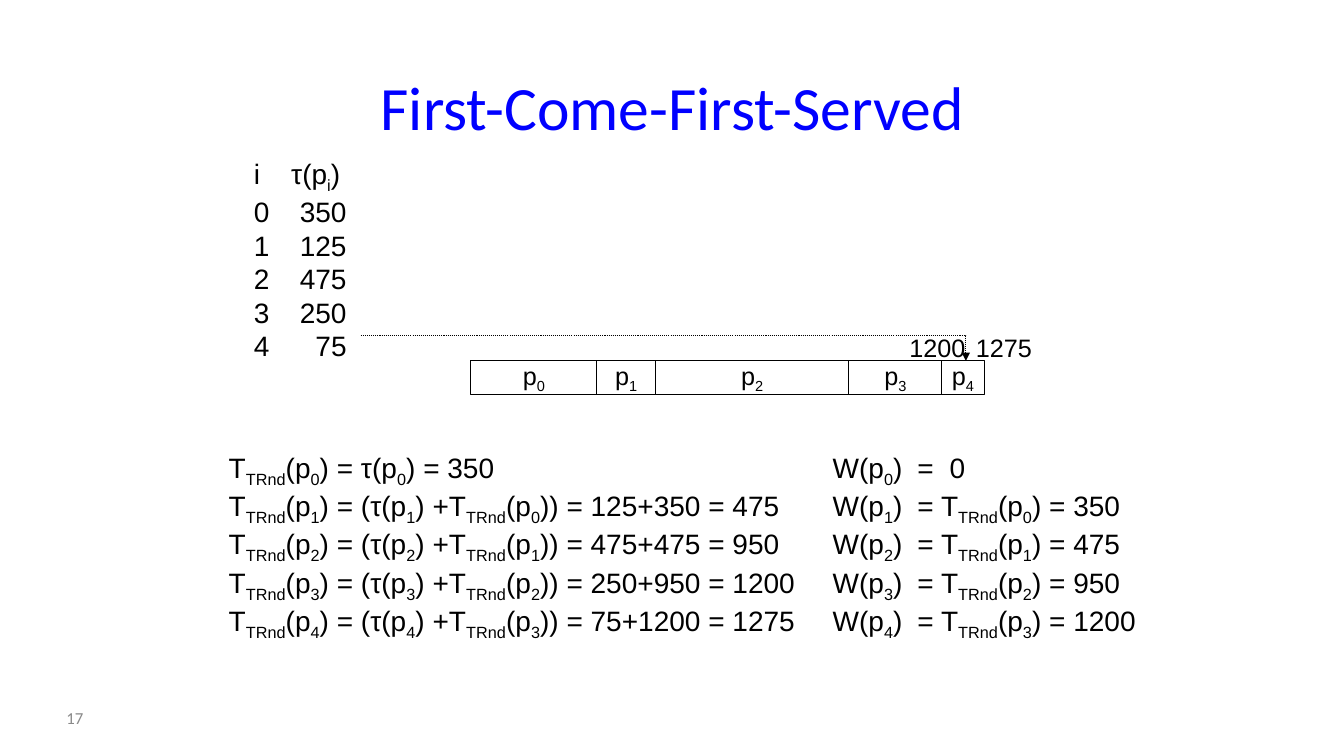
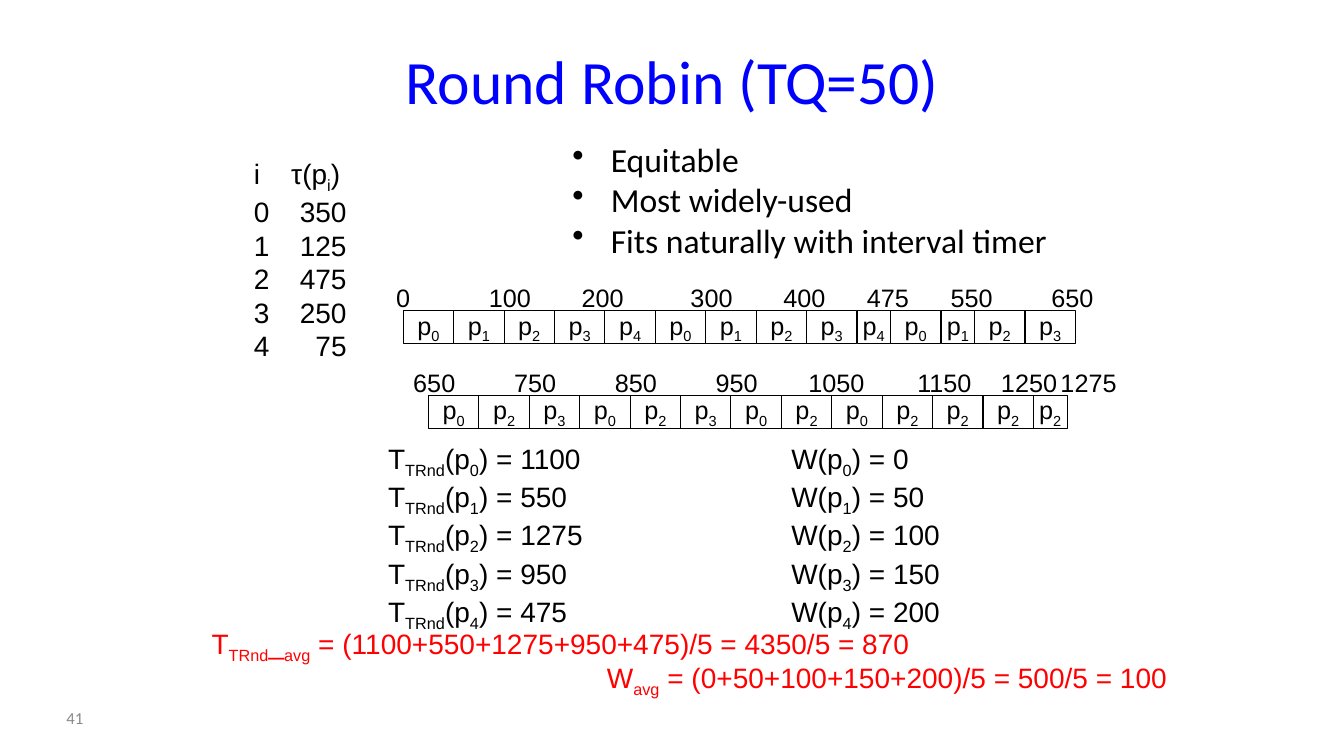
"""Build two slides on CPU scheduling: first-come-first-served and round robin."""
from itertools import accumulate

from lxml import etree
from pptx import Presentation
from pptx.dml.color import RGBColor
from pptx.enum import dml, shapes, text
from pptx.oxml.ns import qn
from pptx.util import Inches, Pt

COLORS = {"title": "0000FF", "ink": "000000", "paper": "FFFFFF",
          "average": "FF0000", "number": "898989"}
BURSTS = [350, 125, 475, 250, 75]
SLOT, SHORT = 0.5, 1 / 3


def write(slide, lines, left, top, width, height, size=18, font="Arial", color="ink",
          align=None, middle=False, wrap=False, bullet=None, tabs=(), boxed=False):
    """Place lines of text, with {braces} marking subscripts."""
    place = [Inches(length) for length in (left, top, width, height)]
    if boxed:
        holder = slide.shapes.add_shape(shapes.MSO_SHAPE.RECTANGLE, *place)
        holder.shadow.inherit = False
        holder.fill.solid()
        holder.fill.fore_color.rgb = RGBColor.from_string(COLORS["paper"])
        holder.line.color.rgb = RGBColor.from_string(COLORS["ink"])
        holder.line.width = Pt(0.75)
    else:
        holder = slide.shapes.add_textbox(*place)
    frame = holder.text_frame
    frame.word_wrap = wrap
    frame.vertical_anchor = text.MSO_ANCHOR.MIDDLE if middle else text.MSO_ANCHOR.TOP
    if not (boxed or wrap):
        frame.auto_size = text.MSO_AUTO_SIZE.SHAPE_TO_FIT_TEXT
    for index, line in enumerate(lines):
        paragraph = frame.paragraphs[0] if index == 0 else frame.add_paragraph()
        paragraph.alignment = align
        props = paragraph._p.get_or_add_pPr()
        if bullet:
            props.set("marL", str(Inches(0.38)))
            props.set("indent", str(-Inches(0.38)))
            etree.SubElement(props, qn("a:buChar"), char=bullet)
        if tabs:
            stops = etree.SubElement(props, qn("a:tabLst"))
            for position, kind in tabs[min(index, len(tabs) - 1)]:
                etree.SubElement(stops, qn("a:tab"), pos=str(Inches(position)), algn=kind)
        for part, words in enumerate(line.replace("}", "{").split("{")):
            if words:
                run = paragraph.add_run()
                run.text = words
                run.font.size = Pt(size)
                run.font.name = font
                run.font.color.rgb = RGBColor.from_string(COLORS[color])
                if part % 2:
                    run._r.get_or_add_rPr().set("baseline", "-25000")


def timeline(slide, left, top, slots, times):
    """Draw adjoining process slots and the times above them."""
    for process, width in slots:
        write(slide, [f"p{{{process}}}"], left, top, width, 0.33, boxed=True,
              align=text.PP_ALIGN.CENTER, middle=True)
        left += width
    for time, time_left in times:
        write(slide, [str(time)], time_left, top - 0.33, 0.2 + 0.14 * len(str(time)), 0.4)


deck = Presentation()
deck.slide_width, deck.slide_height = Inches(13.33), Inches(7.5)

burst_rows = ["i\tτ(p{i})"] + [f"{i}\t{burst}" for i, burst in enumerate(BURSTS)]
slides = []
for heading, heading_top, number in [("First-Come-First-Served", 0.67, "17"),
                                     ("Round Robin (TQ=50)", 0.42, "41")]:
    slide = deck.slides.add_slide(deck.slide_layouts[6])
    write(slide, [heading], 2.42, heading_top, 8.5, 0.75, size=44, font="Calibri",
          color="title", align=text.PP_ALIGN.CENTER, middle=True, wrap=True)
    write(slide, burst_rows, 2.42, 1.5, 1.2, 2.12, size=20, wrap=True,
          tabs=[[(0.37, "l")], [(0.92, "r")]])
    write(slide, [number], 0.56, 6.92, 1.44, 0.4, size=12, font="Calibri",
          color="number", middle=True, wrap=True)
    slides.append(slide)
served, robin = slides

finishes = list(accumulate(BURSTS))
turnarounds = [f"T{{TRnd}}(p{{0}}) = τ(p{{0}}) = {BURSTS[0]}"]
waits = ["W(p{0})\t=\t0"]
for i in range(1, len(BURSTS)):
    before = f"T{{TRnd}}(p{{{i - 1}}})"
    turnarounds.append(f"T{{TRnd}}(p{{{i}}}) = (τ(p{{{i}}}) +{before}) = "
                       f"{BURSTS[i]}+{finishes[i - 1]} = {finishes[i]}")
    waits.append(f"W(p{{{i}}})\t= {before} = {finishes[i - 1]}")
write(served, turnarounds, 2.17, 4.42, 6.02, 1.78, size=20)
write(served, waits, 8.16, 4.42, 3.32, 1.78, size=20, wrap=True,
      tabs=[[(0.84, "l"), (1.16, "l")]])
timeline(served, 4.67, 3.58, enumerate([1.25, 0.58, 1.92, 0.92, 0.42]),
         [(1200, 8.92), (1275, 9.58)])

arrival = served.shapes.build_freeform(Inches(3.58), Inches(3.33))
arrival.add_line_segments([(Inches(9.58), Inches(3.33)), (Inches(9.58), Inches(3.58))],
                          close=False)
arrow = arrival.convert_to_shape()
arrow.shadow.inherit = False
arrow.fill.background()
arrow.line.color.rgb = RGBColor.from_string(COLORS["ink"])
arrow.line.width = Pt(0.75)
arrow.line.dash_style = dml.MSO_LINE.ROUND_DOT
etree.SubElement(arrow.line._get_or_add_ln(), qn("a:tailEnd"), type="triangle")

write(robin, ["Equitable", "Most widely-used", "Fits naturally with interval timer"],
      5.58, 1.33, 4.96, 1.31, size=24, font="Calibri", bullet="•")
first_round = [(process, SLOT) for process in (0, 1, 2, 3, 4, 0, 1, 2, 3)]
first_round += [(4, SHORT), (0, SLOT), (1, SHORT), (2, SLOT), (3, SLOT)]
timeline(robin, 4, 3.08, first_round,
         [(0, 3.83), (100, 4.75), (200, 5.67), (300, 6.75), (400, 7.67),
          (475, 8.5), (550, 9.33), (650, 10.33)])
second_round = [(process, SLOT) for process in (0, 2, 3, 0, 2, 3, 0, 2, 0, 2, 2, 2)]
timeline(robin, 4.25, 3.92, second_round + [(2, SHORT)],
         [(650, 4), (750, 5), (850, 6), (950, 7), (1050, 7.92),
          (1150, 9), (1250, 9.83), (1275, 10.42)])
for measure, values, left, width in [("T{TRnd}", [1100, 550, 1275, 950, 475], 3.75, 2.15),
                                     ("W", [0, 50, 100, 150, 200], 7.75, 1.7)]:
    write(robin, [f"{measure}(p{{{i}}}) = {value}" for i, value in enumerate(values)],
          left, 4.33, width, 1.78, size=20)
write(robin, ["T{TRnd}_{avg} = (1100+550+1275+950+475)/5 = 4350/5 = 870"],
      2, 6.17, 7.27, 0.44, size=20, color="average")
write(robin, ["W{avg} = (0+50+100+150+200)/5 = 500/5 = 100"],
      5.92, 6.5, 5.82, 0.44, size=20, color="average")

deck.save("out.pptx")
